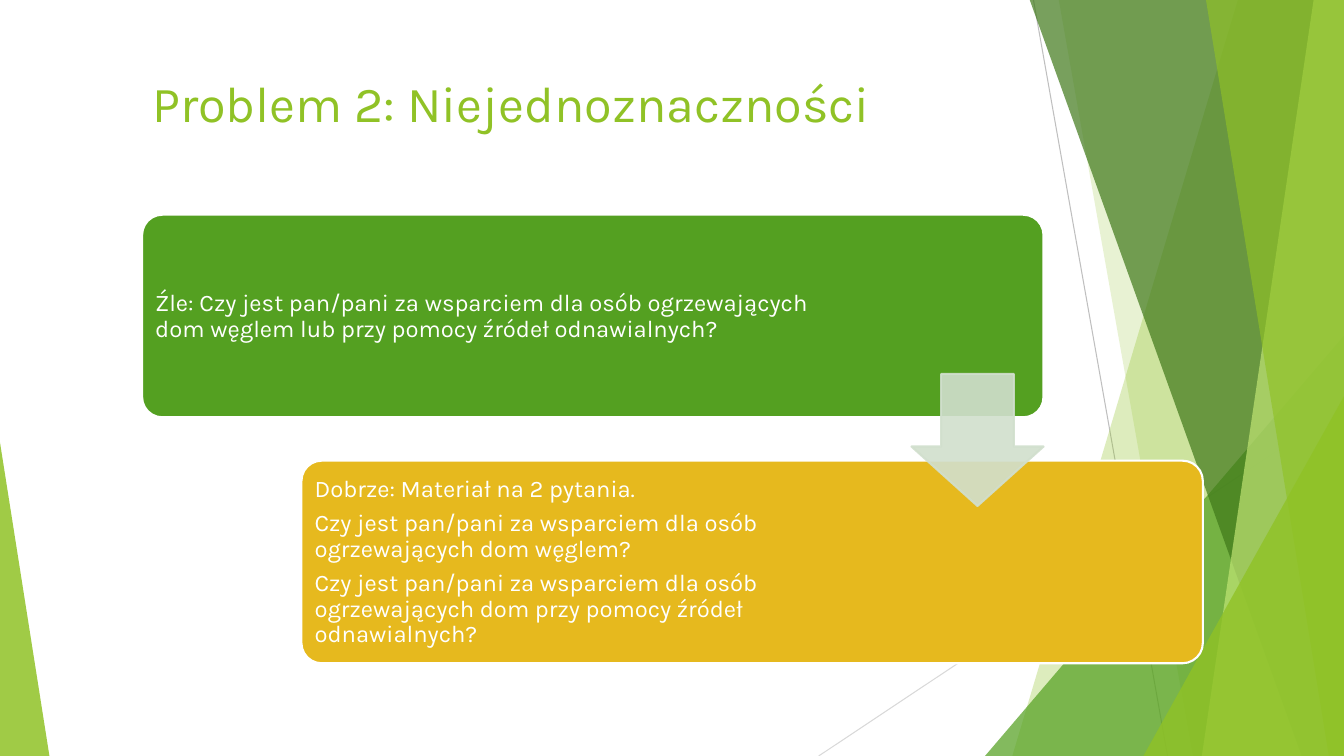
from dataclasses import dataclass

from lxml.etree import SubElement
from pptx import Presentation
from pptx.dml.color import RGBColor
from pptx.enum.shapes import MSO_CONNECTOR as Link, MSO_SHAPE as Kind
from pptx.enum.text import MSO_ANCHOR as Anchor, MSO_AUTO_SIZE as Fit, PP_ALIGN as Align
from pptx.oxml.ns import qn
from pptx.util import Inches, Pt

FONT = "Karla"
WHITE = "FFFFFF"
LIME = "90C226"
GREEN = "54A021"
WIDE, HIGH, TOP = 13.33, 7.5, -0.01


@dataclass
class Ray:
    start: tuple[float, float]
    end: tuple[float, float]
    color: str


@dataclass
class Pane:
    top: float
    foot: float
    color: str
    alpha: int


@dataclass
class Wedge:
    left: float
    top: float
    width: float
    tip: float
    color: str
    alpha: int


@dataclass
class Card:
    left: float
    top: float
    color: str
    span: float
    lines: list[str]


RAYS = [
    Ray((10.25, 0), (11.58, HIGH), "BFBFBF"),
    Ray((WIDE, 4.03), (8.12, HIGH), "D9D9D9"),
]
DECOR = [
    Pane(12.28, 10.04, LIME, 30),
    Pane(10.5, 11.83, LIME, 20),
    Wedge(9.77, 3.33, 3.56, 1, GREEN, 72),
    Pane(10.21, 12.91, "3F7819", 70),
    Pane(13.03, 11.92, "C0E474", 70),
    Pane(11.96, 13.18, LIME, 65),
    Wedge(11.34, 3.93, 1.99, 1, LIME, 80),
    Wedge(0, 4.39, 0.49, 0, LIME, 85),
]
CARDS = [
    Card(1.41, 2.13, GREEN, 6.86, [
        "Źle: Czy jest pan/pani za wsparciem dla osób ogrzewających dom węglem "
        "lub przy pomocy źródeł odnawialnych?",
    ]),
    Card(2.99, 4.57, "E6B91E", 5.94, [
        "Dobrze: Materiał na 2 pytania.",
        "Czy jest pan/pani za wsparciem dla osób ogrzewających dom węglem?",
        "Czy jest pan/pani za wsparciem dla osób ogrzewających dom "
        "przy pomocy źródeł odnawialnych?",
    ]),
]


def tint(part, color: str, alpha: int = 100) -> None:
    part.solid()
    part.fore_color.rgb = RGBColor.from_string(color)
    if alpha < 100:
        for node in part._xPr.iter(qn("a:srgbClr")):
            SubElement(node, qn("a:alpha")).set("val", str(alpha * 1000))


def paint(shape, color: str, alpha: int = 100, edge: str = "") -> None:
    shape.shadow.inherit = False
    tint(shape.fill, color, alpha)
    if edge:
        tint(shape.line.fill, edge)
        shape.line.width = Pt(1.5)
    else:
        shape.line.fill.background()


def write(para, text: str, size: int, color: str) -> None:
    run = para.add_run()
    run.text = text
    run.font.name = FONT
    run.font.size = Pt(size)
    tint(run.font.fill, color)


def draw_ray(shapes, ray: Ray) -> None:
    ends = [Inches(n) for n in (*ray.start, *ray.end)]
    line = shapes.add_connector(Link.STRAIGHT, *ends)
    tint(line.line.fill, ray.color)
    line.line.width = Pt(0.75)
    SubElement(line._element.spPr, qn("a:effectLst"))


def draw_pane(shapes, pane: Pane) -> None:
    spots = [(pane.top, TOP), (WIDE, TOP), (WIDE, HIGH), (pane.foot, HIGH)]
    first, *rest = [(Inches(x), Inches(y)) for x, y in spots]
    pen = shapes.build_freeform(*first)
    pen.add_line_segments(rest, close=True)
    paint(pen.convert_to_shape(), pane.color, pane.alpha)


def draw_wedge(shapes, wedge: Wedge) -> None:
    shape = shapes.add_shape(
        Kind.ISOSCELES_TRIANGLE, Inches(wedge.left), Inches(wedge.top),
        Inches(wedge.width), Inches(HIGH - wedge.top))
    shape.adjustments[0] = wedge.tip
    paint(shape, wedge.color, wedge.alpha)


def draw_card(shapes, card: Card) -> None:
    shape = shapes.add_shape(
        Kind.ROUNDED_RECTANGLE, Inches(card.left), Inches(card.top),
        Inches(8.94), Inches(2.01))
    shape.adjustments[0] = 0.1
    paint(shape, card.color, edge=WHITE)
    box = shapes.add_textbox(
        Inches(card.left + 0.06), Inches(card.top + 0.06),
        Inches(card.span), Inches(1.9))
    frame = box.text_frame
    frame.word_wrap = True
    frame.vertical_anchor = Anchor.MIDDLE
    frame.margin_left = frame.margin_right = Inches(0.07)
    frame.margin_top = frame.margin_bottom = Inches(0.07)
    for rank, text in enumerate(card.lines):
        para = frame.add_paragraph() if rank else frame.paragraphs[0]
        para.line_spacing = 0.9
        para.space_after = Pt(6)
        write(para, text, 17, WHITE)


def draw_arrow(shapes) -> None:
    arrow = shapes.add_shape(
        Kind.DOWN_ARROW, Inches(9.04), Inches(3.71), Inches(1.31), Inches(1.31))
    arrow.adjustments[0] = 0.55
    arrow.adjustments[1] = 0.45
    paint(arrow, "D1DFCD", 90)
    tint(arrow.line.fill, "D1DFCD", 90)
    arrow.line.width = Pt(1.5)


def set_title(shapes, text: str) -> None:
    title = shapes.title
    title.left, title.top = Inches(1.41), Inches(0.67)
    title.width, title.height = Inches(11.15), Inches(1.2)
    frame = title.text_frame
    frame.auto_size = Fit.NONE
    frame.word_wrap = True
    frame.vertical_anchor = Anchor.TOP
    para = frame.paragraphs[0]
    para.alignment = Align.LEFT
    write(para, text, 36, LIME)


def main() -> None:
    deck = Presentation()
    deck.slide_width, deck.slide_height = Inches(WIDE), Inches(HIGH)
    shapes = deck.slides.add_slide(deck.slide_layouts[5]).shapes
    set_title(shapes, "Problem 2: Niejednoznaczności")
    for ray in RAYS:
        draw_ray(shapes, ray)
    for item in DECOR:
        if isinstance(item, Pane):
            draw_pane(shapes, item)
        else:
            draw_wedge(shapes, item)
    for card in CARDS:
        draw_card(shapes, card)
    draw_arrow(shapes)
    deck.save("out.pptx")


if __name__ == "__main__":
    main()
